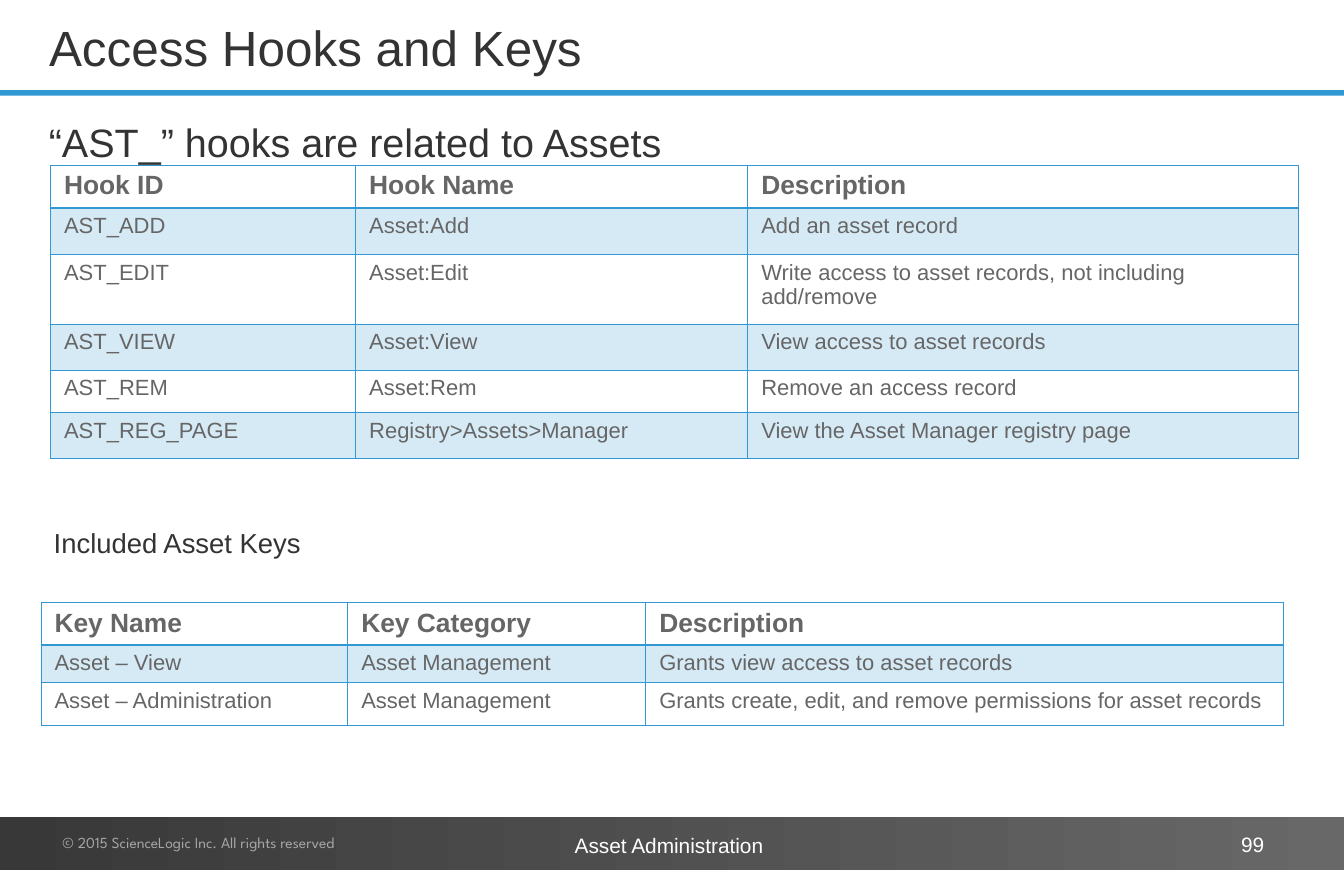
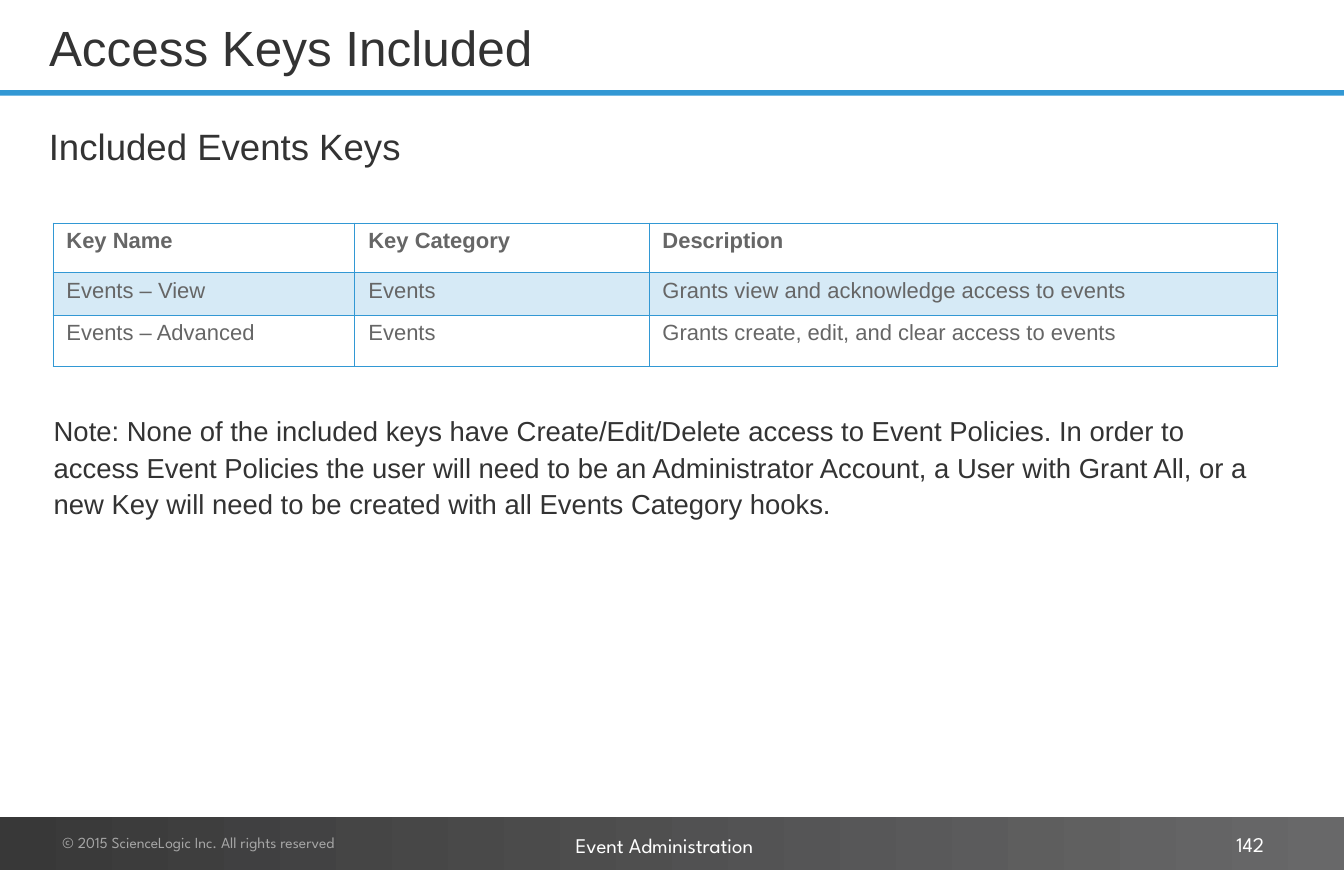
from lxml.etree import SubElement
from pptx import Presentation
from pptx.dml.color import RGBColor
from pptx.enum.shapes import MSO_SHAPE
from pptx.enum.text import MSO_ANCHOR, MSO_AUTO_SIZE, PP_ALIGN
from pptx.oxml.ns import qn
from pptx.util import Pt

PX = 9144  # 100 px to the inch
COLORS = {
    "accent": "3298D4",
    "ink": "333333",
    "table": "666666",
    "copyright": "A6A6A6",
    "white": "FFFFFF",
    "band_start": "383838",
    "band_end": "686869",
}
SANS, DISPLAY = "Arial", "League Spartan"
WIDE_INSETS = (16, 8)
CELL_INSETS = (17, 7)

# What each slide says; a table is (left, top, columns, row heights, header size, header rule, rows)
SLIDES = [
    {
        "title": "Access Hooks and Keys",
        "footer": ("Asset Administration", 711, 274),
        "number": "99",
        "footer_font": SANS,
        "subtitle": ("“AST_” hooks are related to Assets", 138, 91, 36, 1.1),
        "text": ("Included Asset Keys", 653, 82),
        "tables": [
            (64, 209, (386, 496, 696), (53, 59, 88, 58, 54, 58), 24, 2, [
                ("Hook ID", "Hook Name", "Description"),
                ("AST_ADD", "Asset:Add", "Add an asset record"),
                ("AST_EDIT", "Asset:Edit", "Write access to asset records, not including add/remove"),
                ("AST_VIEW", "Asset:View", "View access to asset records"),
                ("AST_REM", "Asset:Rem", "Remove an access record"),
                ("AST_REG_PAGE", "Registry>Assets>Manager", "View the Asset Manager registry page"),
            ]),
            (52, 762, (388, 377, 807), (53, 46, 54), 24, 2, [
                ("Key Name", "Key Category", "Description"),
                ("Asset – View", "Asset Management", "Grants view access to asset records"),
                ("Asset – Administration", "Asset Management",
                 "Grants create, edit, and remove permissions for asset records"),
            ]),
        ],
    },
    {
        "title": "Access Keys Included",
        "footer": ("Event Administration", 712, 276),
        "number": "142",
        "footer_font": DISPLAY,
        "subtitle": ("Included Events Keys", 152, 68, 33.3, 1.0),
        "text": ("Note: None of the included keys have Create/Edit/Delete access to Event Policies. "
                 "In order to access Event Policies the user will need to be an Administrator Account, "
                 "a User with Grant All, or a new Key will need to be created with all Events Category hooks.",
                 512, 233),
        "tables": [
            (67, 282, (382, 372, 795), (63, 54, 65), 20, 1, [
                ("Key Name", "Key Category", "Description"),
                ("Events – View", "Events", "Grants view and acknowledge access to events"),
                ("Events – Advanced", "Events", "Grants create, edit, and clear access to events"),
            ]),
        ],
    },
]


def write(frame, text, size, color, font=SANS, bold=False, insets=(10, 5)):
    """Put one run of text in a frame and return its paragraph."""
    frame.margin_left = frame.margin_right = insets[0] * PX
    frame.margin_top = frame.margin_bottom = insets[1] * PX
    frame.word_wrap = True
    para = frame.paragraphs[0]
    para.alignment = PP_ALIGN.LEFT
    span = para.add_run()
    span.text = text
    span.font.size = Pt(size)
    span.font.name = font
    span.font.bold = bold
    span.font.color.rgb = RGBColor.from_string(COLORS[color])
    return para


def add_border(cell, side, points):
    """Draw one side of a table cell in the accent colour."""
    line = SubElement(cell._tc.get_or_add_tcPr(), qn(f"a:{side}"), w=str(Pt(points)))
    fill = SubElement(line, qn("a:solidFill"))
    SubElement(fill, qn("a:srgbClr"), val=COLORS["accent"])


deck = Presentation()
deck.slide_width, deck.slide_height = 1700 * PX, 1100 * PX
title_only = deck.slide_layouts[5]

for content in SLIDES:
    page = deck.slides.add_slide(title_only)

    # Rule under the title and footer band
    rule, band = [
        page.shapes.add_shape(MSO_SHAPE.RECTANGLE, 0, top * PX, 1700 * PX, height * PX)
        for top, height in ((114, 7), (1033, 67))
    ]
    for bar in (rule, band):
        bar.shadow.inherit = False
        bar.line.fill.background()
    rule.fill.solid()
    rule.fill.fore_color.rgb = RGBColor.from_string(COLORS["accent"])
    band.fill.gradient()
    band.fill.gradient_angle = 0
    for stop, name in zip(band.fill.gradient_stops, ("band_start", "band_end")):
        stop.color.rgb = RGBColor.from_string(COLORS[name])

    # Title
    title = page.shapes.title
    title.left, title.top, title.width, title.height = 52 * PX, 1 * PX, 1485 * PX, 117 * PX
    write(title.text_frame, content["title"], 45, "ink")
    title.text_frame.vertical_anchor = MSO_ANCHOR.MIDDLE
    title.text_frame.auto_size = MSO_AUTO_SIZE.NONE

    # Subtitle and running text
    text, top, height, size, spacing = content["subtitle"]
    box = page.shapes.add_textbox(52 * PX, top * PX, 1563 * PX, height * PX)
    write(box.text_frame, text, size, "ink").line_spacing = spacing
    text, top, height = content["text"]
    box = page.shapes.add_textbox(52 * PX, top * PX, 1563 * PX, height * PX)
    write(box.text_frame, text, 25, "ink", insets=WIDE_INSETS).line_spacing = 1.1

    # Tables
    for left, top, widths, heights, header_size, header_rule, rows in content["tables"]:
        table = page.shapes.add_table(
            len(rows), len(widths), left * PX, top * PX, sum(widths) * PX, sum(heights) * PX
        ).table
        table.first_row = table.horz_banding = False
        for column, width in zip(table.columns, widths):
            column.width = width * PX
        for r, (row, height) in enumerate(zip(rows, heights)):
            table.rows[r].height = height * PX
            for c, text in enumerate(row):
                cell = table.cell(r, c)
                write(cell.text_frame, text, 20 if r else header_size, "table", bold=r == 0)
                cell.margin_left = cell.margin_right = CELL_INSETS[0] * PX
                cell.margin_top = cell.margin_bottom = CELL_INSETS[1] * PX
                add_border(cell, "lnL", 1)
                add_border(cell, "lnR", 1)
                add_border(cell, "lnT", header_rule if r == 1 else 1)
                add_border(cell, "lnB", header_rule if r == 0 else 1)
                if r % 2:
                    cell.fill.solid()
                    cell.fill.fore_color.rgb = RGBColor.from_string(COLORS["accent"])
                    tint = cell._tc.tcPr.find(qn("a:solidFill")).find(qn("a:srgbClr"))
                    SubElement(tint, qn("a:alpha"), val="20000")
                else:
                    cell.fill.background()

    # Footer: copyright, section and page number
    box = page.shapes.add_textbox(63 * PX, 1046 * PX, 500 * PX, 40 * PX)
    write(box.text_frame, "© 2015 ScienceLogic Inc. All rights reserved", 14, "copyright", DISPLAY,
          insets=WIDE_INSETS)
    section, left, width = content["footer"]
    box = page.shapes.add_textbox(left * PX, 1045 * PX, width * PX, 48 * PX)
    write(box.text_frame, section, 19, "white", content["footer_font"], insets=WIDE_INSETS)
    box.text_frame.word_wrap = False
    box = page.shapes.add_textbox(1218 * PX, 1046 * PX, 397 * PX, 43 * PX)
    number = write(box.text_frame, content["number"], 19, "white", content["footer_font"], insets=WIDE_INSETS)
    number.alignment = PP_ALIGN.RIGHT
    box.text_frame.vertical_anchor = MSO_ANCHOR.MIDDLE

deck.save("out.pptx")
